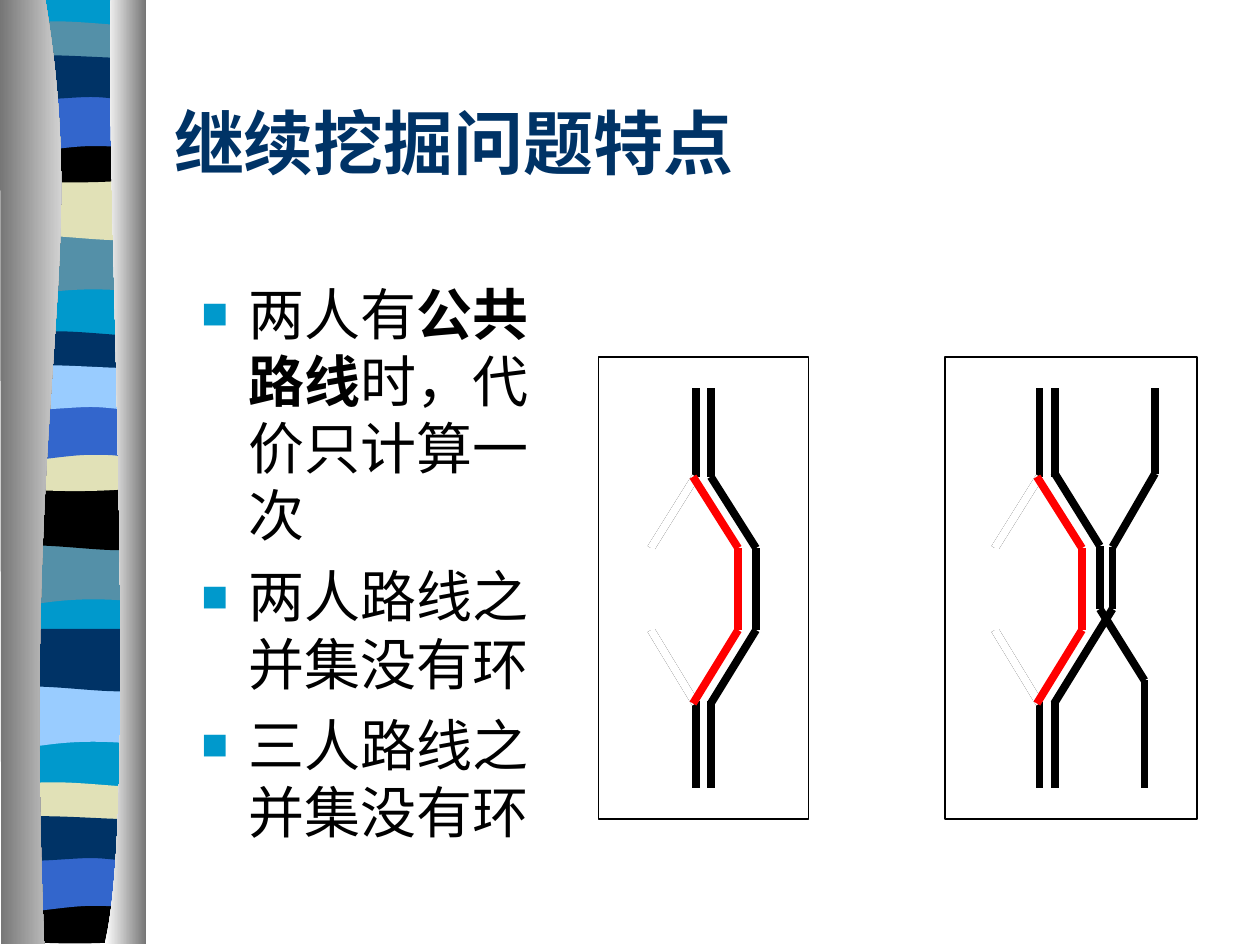
from dataclasses import dataclass

from lxml import etree
from pptx import Presentation
from pptx import util as u
from pptx.dml.color import RGBColor
from pptx.enum import shapes, text
from pptx.oxml.ns import qn

SKY = RGBColor(0x00, 0x99, 0xCC)
TEAL = RGBColor(0x54, 0x90, 0xA8)
SAND = RGBColor(0xE1, 0xE1, 0xB7)
BLUE = RGBColor(0x33, 0x66, 0xCC)
NAVY = RGBColor(0x00, 0x33, 0x66)
PALE = RGBColor(0x99, 0xCC, 0xFF)
GREY = RGBColor(0x76, 0x76, 0x76)
BLACK = RGBColor(0x00, 0x00, 0x00)
WHITE = RGBColor(0xFF, 0xFF, 0xFF)
RED = RGBColor(0xFF, 0x00, 0x00)

CELL = u.Inches(1) / 12
EDGE = 0.05


@dataclass(frozen=True)
class Wave:
    bends: tuple
    bands: tuple


@dataclass(frozen=True)
class Route:
    color: RGBColor
    stops: tuple


@dataclass(frozen=True)
class Chart:
    box: tuple
    shift: float
    routes: tuple


WAVES = (
    Wave(((1.09, 0), (1.09, .47), (.34, .39, .18, .55, 0, .47), (0, 0)),
         ((1.85, TEAL), (4.31, TEAL), (5.44, PALE))),
    Wave(((1.09, 0), (1.09, .47), (.91, .55, .34, .42, 0, .47), (0, 0)),
         ((1.41, SAND), (3.87, BLACK), (4.99, NAVY))),
    Wave(((1.09, 0), (1.09, .25), (.91, .29, .18, .29, 0, .25), (0, 0),
          (.07, -.04, .24, -.04, .42, -.04), (.6, -.04, .95, 0, 1.09, 0)),
         ((.21, TEAL), (2.67, NAVY), (6.25, SAND))),
    Wave(((1.09, 0), (1.09, .33), (.91, .38, .18, .38, 0, .33), (0, 0),
          (.66, .05, .86, 0, 1.09, 0)),
         ((1.08, BLACK), (3.53, SAND), (7.12, BLACK))),
    Wave(((1.09, 0), (1.09, .47), (.92, .41, .85, .41, .67, .41),
          (.49, .41, .17, .47, 0, .47), (0, 0)),
         ((.75, BLUE), (3.2, BLUE), (6.78, BLUE))),
    Wave(((1.09, 0), (1.09, .31), (1.02, .36, .85, .31, .67, .31),
          (.49, .31, .12, .36, 0, .31), (0, 0), (.16, -.05, .74, 0, .92, 0),
          (1.1, 0, 1.06, 0, 1.09, 0)),
         ((.46, NAVY), (2.92, PALE), (6.5, NAVY))),
)

SLAB = ((1.09, 0), (1.09, 7.47), (0, 7.47), (0, 0))
LEFT = ((.36, 0), (.72, 2.17, .17, 2.96, .35, 7.49), (.01, 7.49), (0, 0))
RIGHT = ((.88, 0), (.83, 1.25, 1.11, 6.47, .83, 7.49), (1.16, 7.49), (1.16, 0))


def bypass(color: RGBColor, start: float, side: float) -> Route:
    return Route(color, ((start, 45.4), (side, 52.2), (side, 60), (start, 67)))


TRUNKS = tuple(Route(BLACK, ((x, top), (x, end)))
               for x in (66.25, 67.7) for top, end in ((37, 45.4), (66.75, 75)))
UNDER = TRUNKS + (bypass(BLACK, 66.25, 62),)
OVER = (bypass(WHITE, 66.25, 62), bypass(RED, 66, 70.3))

CHARTS = (
    Chart((57, 34, 20, 44), 0, (bypass(BLACK, 67.7, 72),)),
    Chart((90, 34, 24, 44), 32.75, (
        Route(BLACK, ((67.65, 45), (72, 52), (72, 58), (76.25, 64.8), (76.25, 75))),
        Route(BLACK, ((77.25, 37), (77.25, 45.1), (73.2, 52.1), (73.2, 58), (67.65, 67))),
    )),
)


def outline(slide, bends: tuple, left: float = 0, top: float = 0):
    marks = [(u.Inches(bend[i] + left), u.Inches(bend[i + 1] + top))
             for bend in bends for i in range(0, len(bend), 2)]
    pen = slide.shapes.build_freeform(*marks[0])
    pen.add_line_segments(marks[1:], close=True)
    form = pen.convert_to_shape()
    form.shadow.inherit = False
    form.line.fill.background()
    lines = iter(list(form._element.iter(qn("a:lnTo"))))
    for bend in bends[1:]:
        node = next(lines)
        if len(bend) == 6:
            node.tag = qn("a:cubicBezTo")
            for extra in (next(lines), next(lines)):
                node.append(extra[0])
                extra.getparent().remove(extra)
    return form


def paint(form, color: RGBColor) -> None:
    form.fill.solid()
    form.fill.fore_color.rgb = color


def shade(form, first: RGBColor, last: RGBColor) -> None:
    form.fill.gradient()
    form.fill.gradient_angle = 0
    for stop, color in zip(form.fill.gradient_stops, (first, last)):
        stop.color.rgb = color


def border(slide) -> None:
    paint(outline(slide, SLAB, EDGE), SKY)
    for turn in range(3):
        for wave in WAVES:
            top, color = wave.bands[turn]
            paint(outline(slide, wave.bends, EDGE, top), color)
    shade(outline(slide, LEFT), GREY, WHITE)
    shade(outline(slide, RIGHT), WHITE, GREY)


def trace(slide, route: Route, shift: float) -> None:
    marks = [(round((x + shift) * CELL), round(y * CELL)) for x, y in route.stops]
    for start, end in zip(marks, marks[1:]):
        link = slide.shapes.add_connector(shapes.MSO_CONNECTOR.STRAIGHT, *start, *end)
        link.line.color.rgb = route.color
        link.line.width = u.Pt(4.5)
        etree.SubElement(link._element.spPr, qn("a:effectLst"))


def draw(slide, chart: Chart) -> None:
    frame = slide.shapes.add_shape(shapes.MSO_SHAPE.RECTANGLE,
                                   *(round(n * CELL) for n in chart.box))
    frame.shadow.inherit = False
    frame.fill.background()
    frame.line.color.rgb = BLACK
    frame.line.width = u.Pt(0.75)
    for route in UNDER + chart.routes + OVER:
        trace(slide, route, chart.shift)


def bullet(para) -> None:
    para.space_before = u.Pt(8)
    props = para._p.get_or_add_pPr()
    indent = round(4.5 * CELL)
    props.set("marL", str(indent))
    props.set("indent", str(-indent))
    tint = etree.SubElement(props, qn("a:buClr"))
    etree.SubElement(tint, qn("a:srgbClr"), val=str(SKY))
    etree.SubElement(props, qn("a:buSzPct"), val="80000")
    etree.SubElement(props, qn("a:buFont"), typeface="Arial")
    etree.SubElement(props, qn("a:buChar"), char="■")


def write(slide, paras: tuple, box: tuple, *, size: int, font: str, color: RGBColor,
          anchor=text.MSO_ANCHOR.TOP, bullets: bool = False) -> None:
    frame = slide.shapes.add_textbox(*(round(n * CELL) for n in box)).text_frame
    frame.word_wrap = True
    frame.vertical_anchor = anchor
    for i, runs in enumerate(paras):
        para = frame.add_paragraph() if i else frame.paragraphs[0]
        if bullets:
            bullet(para)
        for words, bold in runs:
            run = para.add_run()
            run.text = words
            run.font.size = u.Pt(size)
            run.font.name = font
            run.font.bold = bold
            run.font.color.rgb = color


def main() -> None:
    deck = Presentation()
    deck.slide_width, deck.slide_height = u.Inches(10), u.Inches(7.5)
    slide = deck.slides.add_slide(deck.slide_layouts[6])
    border(slide)
    write(slide, ((("继续挖掘问题特点", True),),), (15.4, 6, 102, 15),
          size=40, font="Arial Narrow", color=NAVY, anchor=text.MSO_ANCHOR.MIDDLE)
    write(slide, (
        (("两人有", False), ("公共路线", True), ("时，代价只计算一次", False)),
        (("两人路线之并集没有环", False),),
        (("三人路线之并集没有环", False),),
    ), (18, 26, 34, 59), size=32, font="Arial", color=BLACK, bullets=True)
    for chart in CHARTS:
        draw(slide, chart)
    deck.save("out.pptx")


if __name__ == "__main__":
    main()
